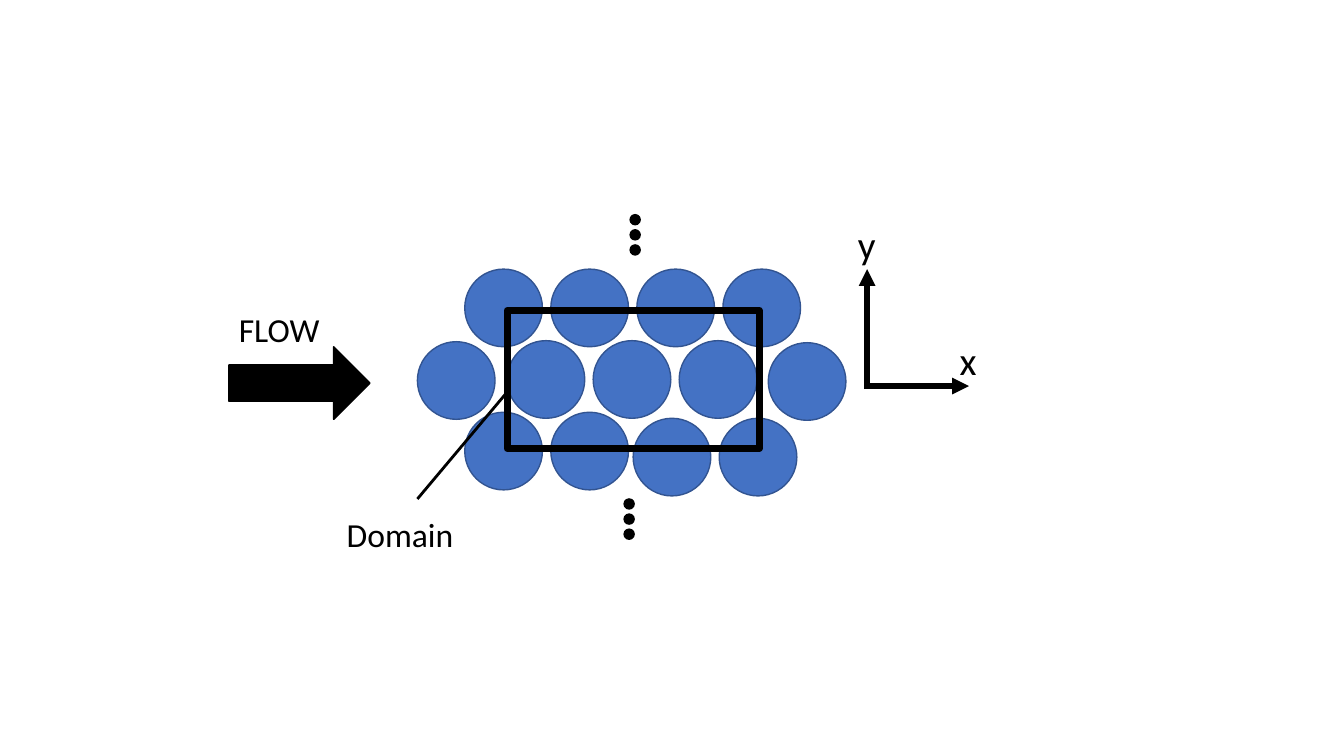
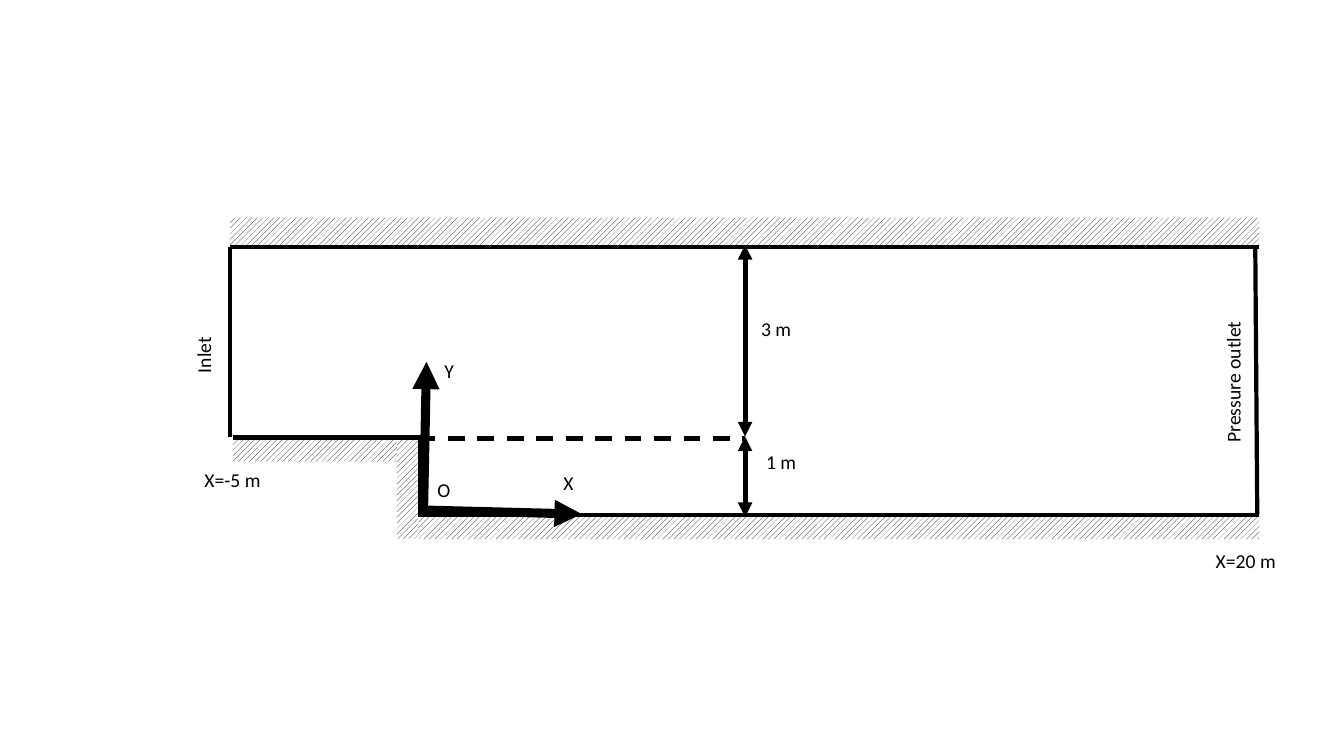
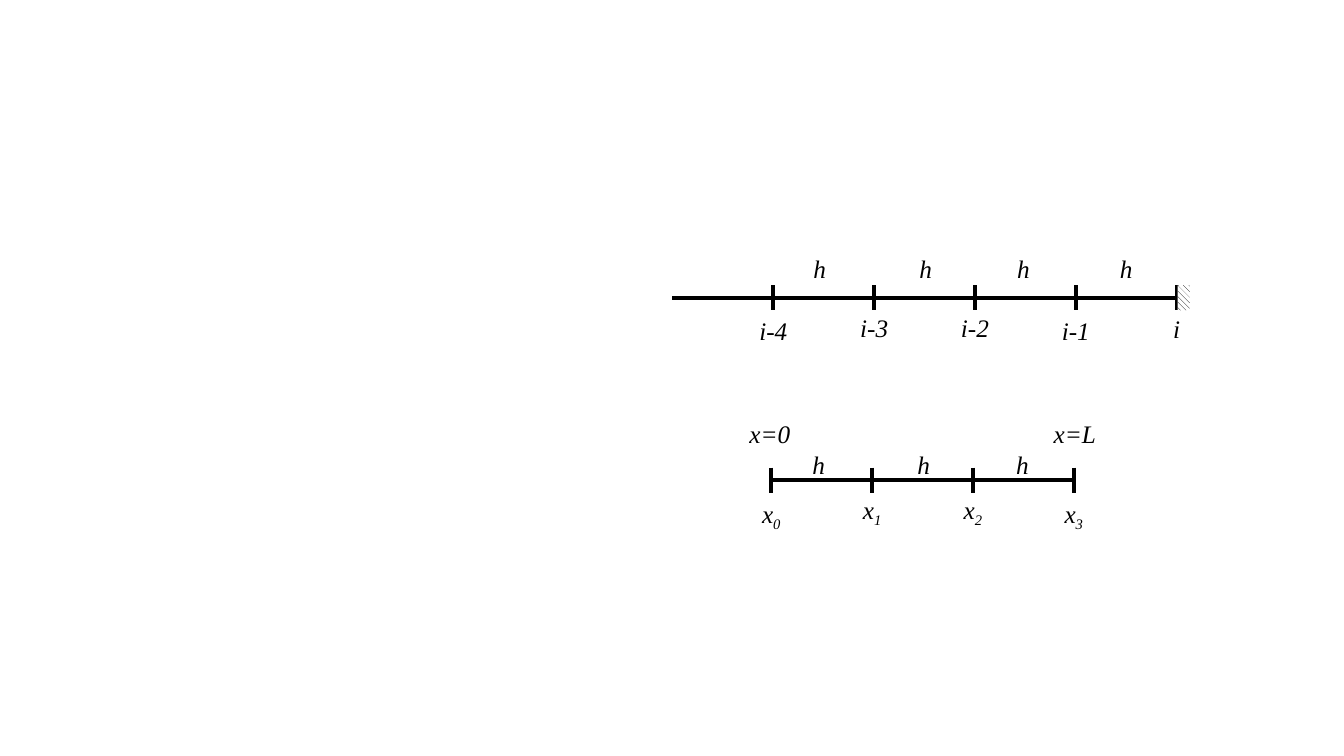
from dataclasses import dataclass
from typing import Any

import lxml.etree
import pptx
import pptx.dml.color
import pptx.enum.dml
import pptx.enum.shapes
import pptx.enum.text
import pptx.oxml.ns
import pptx.util

COLORS = {"ink": "000000", "paper": "FFFFFF", "circle": "4472C4", "rim": "325491"}
SANS, SERIF = "Calibri", "Times New Roman"
Inches = pptx.util.Inches
SHAPE = pptx.enum.shapes.MSO_SHAPE
PATTERN = pptx.enum.dml.MSO_PATTERN
ALIGN = pptx.enum.text.PP_ALIGN


@dataclass
class Box:
    left: float
    top: float
    width: float
    height: float
    rotation: float = 0


@dataclass
class Label:
    text: str
    box: Box
    size: float = 14
    font: str = SANS
    italic: bool = False
    centered: bool = False
    wrap: bool = False
    subscript: str = ""


@dataclass
class Line:
    x1: float
    y1: float
    x2: float
    y2: float
    width: float = 3
    head: bool = False
    tail: bool = False
    dashed: bool = False


@dataclass
class CircleRow:
    left: float
    top: float
    count: int


@dataclass
class Node:
    text: str
    width: float
    top: float
    subscript: str = ""


@dataclass
class Grid:
    start: float
    end: float
    axis: float
    first_tick: float
    tick_top: float
    step_top: float
    step_lefts: list[float]
    nodes: list[Node]


def rgb(name: str) -> pptx.dml.color.RGBColor:
    return pptx.dml.color.RGBColor.from_string(COLORS[name])


def add_shape(shapes: Any, kind: Any, box: Box, fill: str = "", line: str = "", width: float = 1) -> Any:
    sp = shapes.add_shape(kind, *map(Inches, (box.left, box.top, box.width, box.height)))
    sp.rotation = box.rotation
    sp.shadow.inherit = False
    if fill:
        sp.fill.solid()
        sp.fill.fore_color.rgb = rgb(fill)
    else:
        sp.fill.background()
    if line:
        sp.line.color.rgb = rgb(line)
        sp.line.width = pptx.util.Pt(width)
    else:
        sp.line.fill.background()
    return sp


def add_hatch(shapes: Any, box: Box, pattern: Any = PATTERN.WIDE_UPWARD_DIAGONAL) -> None:
    sp = add_shape(shapes, SHAPE.RECTANGLE, box)
    sp.fill.patterned()
    sp.fill.pattern = pattern
    sp.fill.fore_color.rgb = rgb("ink")
    sp.fill.back_color.rgb = rgb("paper")


def add_line(shapes: Any, line: Line) -> None:
    c = shapes.add_connector(
        pptx.enum.shapes.MSO_CONNECTOR.STRAIGHT,
        *map(Inches, (line.x1, line.y1, line.x2, line.y2)),
    )
    c.line.color.rgb = rgb("ink")
    c.line.width = pptx.util.Pt(line.width)
    if line.dashed:
        c.line.dash_style = pptx.enum.dml.MSO_LINE.DASH
    qn = pptx.oxml.ns.qn
    ln = c.line._get_or_add_ln()
    for tag, shown in (("a:headEnd", line.head), ("a:tailEnd", line.tail)):
        if shown:
            lxml.etree.SubElement(ln, qn(tag)).set("type", "triangle")
    lxml.etree.SubElement(c._element.spPr, qn("a:effectLst"))


def add_label(shapes: Any, label: Label) -> None:
    box = label.box
    sp = shapes.add_textbox(*map(Inches, (box.left, box.top, box.width, box.height)))
    sp.rotation = box.rotation
    tf = sp.text_frame
    tf.word_wrap = label.wrap
    tf.auto_size = pptx.enum.text.MSO_AUTO_SIZE.SHAPE_TO_FIT_TEXT
    p = tf.paragraphs[0]
    p.text = label.text
    if label.centered:
        p.alignment = ALIGN.CENTER
    if label.subscript:
        r = p.add_run()
        r.text = label.subscript
        r._r.get_or_add_rPr().set("baseline", "-25000")
    for r in p.runs:
        r.font.name = label.font
        r.font.size = pptx.util.Pt(label.size)
        r.font.italic = label.italic
        r.font.color.rgb = rgb("ink")


def math_label(text: str, left: float, top: float, width: float, centered: bool = True, subscript: str = "") -> Label:
    return Label(text, Box(left, top, width, 0.4), 18, SERIF, True, centered, subscript=subscript)


def add_dots(shapes: Any, left: float, top: float) -> None:
    group = shapes.add_group_shape()
    for i in range(3):
        add_shape(group.shapes, SHAPE.OVAL, Box(left, top + 0.15 * i, 0.1, 0.1), "ink", "ink")


def add_grid(shapes: Any, grid: Grid) -> None:
    add_line(shapes, Line(grid.start, grid.axis, grid.end, grid.axis, 2.75))
    for i, node in enumerate(grid.nodes):
        x = grid.first_tick + i
        add_line(shapes, Line(x, grid.tick_top, x, grid.tick_top + 0.25, 2.75))
        add_label(shapes, math_label(node.text, x - node.width / 2, node.top, node.width, subscript=node.subscript))
    for left in grid.step_lefts:
        add_label(shapes, math_label("h", left, grid.step_top, 0.34, centered=False))


def build_packed_bed(shapes: Any) -> None:
    diameter, pitch = 0.77, 2.56 / 3
    rows = [
        CircleRow(4.61, 2.67, 4),
        CircleRow(5.03, 3.38, 3),
        CircleRow(4.61, 4.09, 2),
        CircleRow(6.28, 4.15, 2),
        CircleRow(4.14, 3.39, 1),
        CircleRow(7.62, 3.4, 1),
    ]
    for row in rows:
        for i in range(row.count):
            box = Box(row.left + pitch * i, row.top, diameter, diameter)
            add_shape(shapes, SHAPE.OVAL, box, "circle", "rim")
    add_dots(shapes, 6.25, 2.13)
    add_dots(shapes, 6.19, 4.95)
    add_shape(shapes, SHAPE.RIGHT_ARROW, Box(2.27, 3.44, 1.4, 0.72), "ink", "ink")
    add_shape(shapes, SHAPE.RECTANGLE, Box(5.03, 3.08, 2.5, 1.37), line="ink", width=5)
    for line in (
        Line(8.6, 3.86, 8.6, 2.67, 4, tail=True),
        Line(8.6, 3.83, 9.61, 3.83, 4, tail=True),
        Line(4.14, 4.95, 5.03, 3.89, 2),
    ):
        add_line(shapes, line)
    for label in (
        Label("FLOW", Box(2.27, 3.02, 1.01, 0.5), 24),
        Label("y", Box(8.41, 2.14, 0.38, 0.57), 28),
        Label("x", Box(9.42, 3.29, 0.37, 0.57), 28),
        Label("Domain", Box(3.34, 5.05, 1.27, 0.5), 24),
    ):
        add_label(shapes, label)


def build_backward_step(slide_shapes: Any) -> None:
    shapes = slide_shapes.add_group_shape().shapes
    for wall in (
        Box(2.31, 4.36, 1.84, 0.22),
        Box(4.15, 5.13, 8.34, 0.22),
        Box(3.55, 4.75, 0.98, 0.21, 90),
        Box(2.28, 2.16, 10.21, 0.27),
    ):
        add_hatch(shapes, wall)
    for line in (
        Line(2.31, 4.34, 4.18, 4.34),
        Line(4.17, 4.33, 4.17, 5.11),
        Line(4.15, 5.11, 12.49, 5.11),
        Line(2.28, 2.45, 12.49, 2.45),
        Line(2.28, 4.34, 2.28, 2.45),
        Line(12.47, 5.1, 12.45, 2.46),
        Line(4.2, 5.1, 4.23, 3.59, 6.5, tail=True),
        Line(4.2, 5.06, 5.77, 5.1, 6.5, tail=True),
        Line(4.15, 4.35, 7.39, 4.35, dashed=True),
        Line(7.39, 2.43, 7.39, 4.33, 3.5, head=True, tail=True),
        Line(7.39, 4.33, 7.39, 5.13, 3.5, head=True, tail=True),
    ):
        add_line(shapes, line)
    for label in (
        Label("Inlet", Box(1.74, 3.35, 0.56, 0.34, 270)),
        Label("Pressure outlet", Box(11.52, 3.61, 1.42, 0.34, 270)),
        Label("X", Box(5.49, 4.62, 0.3, 0.34)),
        Label("Y", Box(4.31, 3.51, 0.3, 0.34)),
        Label("O", Box(4.24, 4.69, 0.74, 0.34), wrap=True),
        Label("X=20 m", Box(11.96, 5.4, 0.8, 0.34)),
        Label("X=-5 m", Box(1.93, 4.59, 0.76, 0.34)),
        Label("1 m", Box(7.5, 4.41, 0.5, 0.34)),
        Label("3 m", Box(7.45, 3.09, 0.5, 0.34)),
    ):
        add_label(shapes, label)


def build_grids(shapes: Any) -> None:
    boundary_nodes = [
        Node("i-4", 0.48, 3.08),
        Node("i-3", 0.48, 3.05),
        Node("i-2", 0.48, 3.05),
        Node("i-1", 0.48, 3.08),
        Node("i", 0.27, 3.06),
    ]
    interval_nodes = [Node("x", 0.4, top, str(i)) for i, top in enumerate((4.89, 4.85, 4.85, 4.89))]
    add_grid(shapes, Grid(6.67, 11.67, 2.96, 7.67, 2.83, 2.46, [7.97, 9.02, 9.99, 11.01], boundary_nodes))
    add_hatch(shapes, Box(11.68, 2.83, 0.12, 0.25), PATTERN.WIDE_DOWNWARD_DIAGONAL)
    add_grid(shapes, Grid(7.65, 10.67, 4.76, 7.65, 4.64, 4.41, [7.96, 9, 9.98], interval_nodes))
    add_label(shapes, math_label("x=0", 7.33, 4.1, 0.61))
    add_label(shapes, math_label("x=L", 10.35, 4.1, 0.62))


prs = pptx.Presentation()
prs.slide_width, prs.slide_height = Inches(13.33), Inches(7.5)
for build in (build_packed_bed, build_backward_step, build_grids):
    build(prs.slides.add_slide(prs.slide_layouts[6]).shapes)
prs.save("out.pptx")
